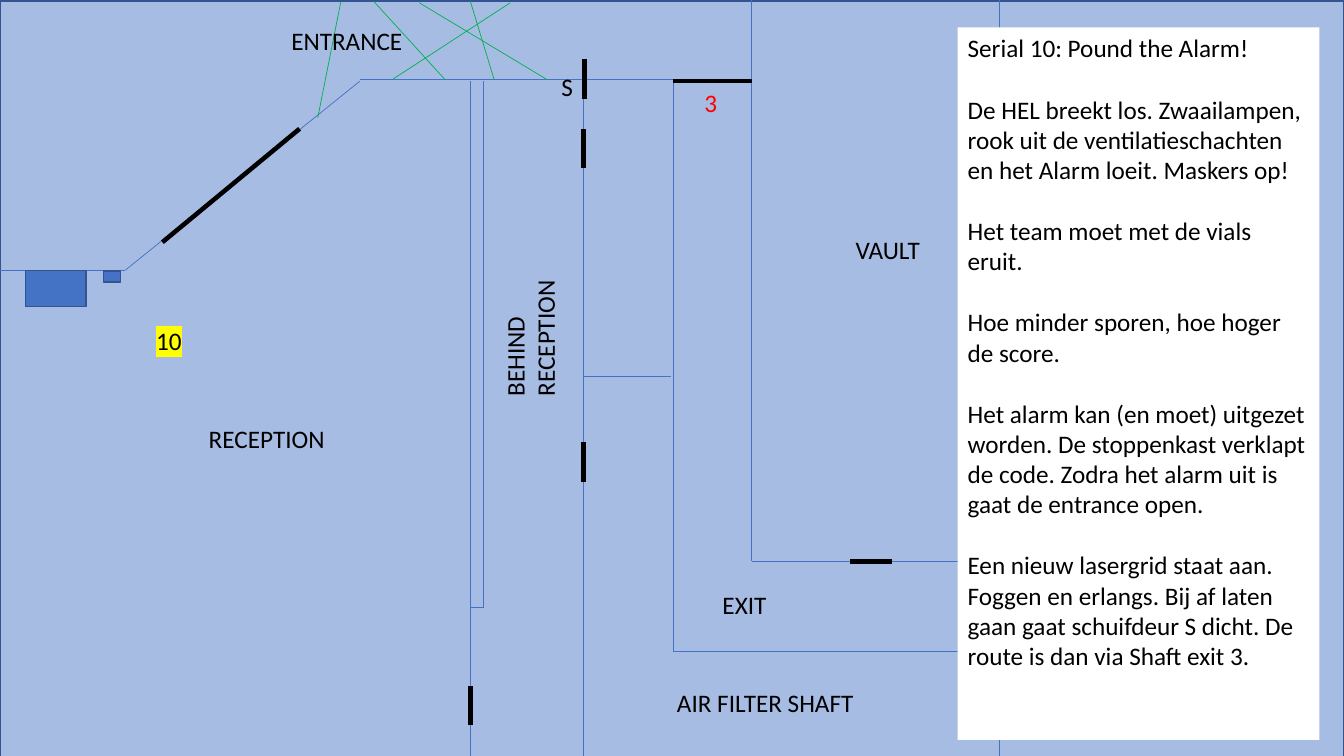
"""Build the floor plan slide for serial 10 of the escape game."""
from dataclasses import dataclass

from lxml.etree import SubElement
from pptx import Presentation
from pptx.dml.color import RGBColor
from pptx.enum.shapes import MSO_CONNECTOR, MSO_SHAPE
from pptx.enum.text import MSO_ANCHOR, MSO_AUTO_SIZE, PP_ALIGN
from pptx.oxml import parse_xml
from pptx.oxml.ns import nsdecls, qn
from pptx.util import Pt

BLACK = RGBColor(0x00, 0x00, 0x00)
WHITE = RGBColor(0xFF, 0xFF, 0xFF)
RED = RGBColor(0xFF, 0x00, 0x00)
GREEN = RGBColor(0x00, 0xB0, 0x50)
BLUE = RGBColor(0x44, 0x72, 0xC4)
NAVY = RGBColor(0x32, 0x54, 0x91)
YELLOW = RGBColor(0xFF, 0xFF, 0x00)

WIDE, HIGH = 960, 540
THIN, THICK = 0.5, 3.25
ROW = 22
NOTE = (684, 19.5, 258.5, 509)


@dataclass
class Box:
    left: float
    top: float
    width: float
    height: float
    alpha: int = 100


@dataclass
class Label:
    text: str
    left: float
    top: float
    width: float
    height: float = 29
    turn: int = 0
    color: RGBColor = BLACK
    mark: RGBColor | None = None


@dataclass
class Group:
    color: RGBColor
    weight: float
    lines: list[tuple[float, float, float, float]]


WALLS = Group(BLUE, THIN, [
    (714, 0, 714, HIGH), (537, 0, 537, 401), (537, 401, 714, 401),
    (481, 58, 481, 465), (481, 465, 714, 465), (504, 57, 257, 57),
    (257, 58, 89.5, 193), (89.5, 193, 0, 193), (336, 58, 336, HIGH),
    (417, 58, 417, HIGH), (417, 269, 479, 269),
    (345, 58, 345, 434), (345, 434, 336, 434),
])
DOORS = Group(BLACK, THICK, [
    (336, 490, 336, 518), (481, 58, 537, 58), (417, 92, 417, 120),
    (417, 316, 417, 344), (607.5, 401, 637, 401), (214, 92, 116, 173),
    (417.5, 42.5, 417.5, 70.5),
])
LASERS = Group(GREEN, THIN, [
    (267, 1, 318, 57), (243.5, 1, 227, 84), (336, 1, 353, 57),
    (391, 57, 299.5, 2), (364.5, 2, 280, 57),
])
FLOOR = Box(0, 0.75, WIDE, HIGH, 47)
DESKS = [Box(18, 193, 43.5, 26), Box(74, 193.5, 12, 8)]
LABELS = [
    Label("ENTRANCE", 201, 14.5, 125),
    Label("RECEPTION", 142, 299, 106.5),
    Label("BEHIND RECEPTION", 325.5, 211.5, 106.5, 51, 270),
    Label("AIR FILTER SHAFT", 476.5, 487.5, 160.5),
    Label("VAULT", 604, 164, 106.5),
    Label("EXIT", 509, 417.5, 106.5),
    Label("S", 394, 47.5, 28),
    Label("10", 104.5, 228.5, 55, mark=YELLOW),
    Label("3", 496, 59, 30, color=RED),
]
TITLE = "Serial 10: Pound the Alarm!"
STORY = [
    "De HEL breekt los. Zwaailampen, rook uit de ventilatieschachten "
    "en het Alarm loeit. Maskers op!",
    "Het team moet met de vials eruit.",
    "Hoe minder sporen, hoe hoger de score.",
    "Het alarm kan (en moet) uitgezet worden. De stoppenkast verklapt "
    "de code. Zodra het alarm uit is gaat de entrance open.",
    "Een nieuw lasergrid staat aan. Foggen en erlangs. Bij af laten gaan "
    "gaat schuifdeur S dicht. De route is dan via Shaft exit 3.",
]


def write(frame, *texts: str, color: RGBColor = BLACK, size: float = 18,
          gap: float = 0, top: float = 3.6, mark: RGBColor | None = None,
          fit: MSO_AUTO_SIZE = MSO_AUTO_SIZE.NONE) -> None:
    frame.word_wrap = True
    frame.auto_size = fit
    frame.vertical_anchor = MSO_ANCHOR.TOP
    frame.margin_left = frame.margin_right = Pt(7.2)
    frame.margin_top, frame.margin_bottom = Pt(top), Pt(3.6)
    for i, text in enumerate(texts):
        para = frame.paragraphs[0] if i == 0 else frame.add_paragraph()
        para.alignment = PP_ALIGN.LEFT
        para.space_before = Pt(gap if i else 0)
        para.space_after = Pt(0)
        run = para.add_run()
        run.text = text
        font = run.font
        font.name, font.size, font.color.rgb = "Calibri", Pt(size), color
        if mark is not None:
            fill = run.font._element.find(qn("a:solidFill"))
            fill.addnext(parse_xml(
                f'<a:highlight {nsdecls("a")}><a:srgbClr val="{mark}"/></a:highlight>'))


def place(shape, left: float, top: float, width: float, height: float) -> None:
    shape.left, shape.top = Pt(left), Pt(top)
    shape.width, shape.height = Pt(width), Pt(height)


def draw_box(slide, box: Box) -> None:
    shape = slide.shapes.add_shape(
        MSO_SHAPE.RECTANGLE, Pt(box.left), Pt(box.top), Pt(box.width), Pt(box.height))
    shape.shadow.inherit = False
    shape.fill.solid()
    shape.fill.fore_color.rgb = BLUE
    shape.line.color.rgb = NAVY
    shape.line.width = Pt(1)
    if box.alpha < 100:
        tint = shape.element.spPr.find(qn("a:solidFill")).find(qn("a:srgbClr"))
        SubElement(tint, qn("a:alpha")).set("val", str(box.alpha * 1000))


def draw_lines(slide, group: Group) -> None:
    for ends in group.lines:
        line = slide.shapes.add_connector(MSO_CONNECTOR.STRAIGHT, *map(Pt, ends))
        line.line.color.rgb = group.color
        line.line.width = Pt(group.weight)
        SubElement(line.element.spPr, qn("a:effectLst"))


def draw_label(slide, label: Label) -> None:
    shape = slide.shapes.add_textbox(
        Pt(label.left), Pt(label.top), Pt(label.width), Pt(label.height))
    shape.rotation = label.turn
    write(shape.text_frame, label.text, color=label.color, mark=label.mark,
          fit=MSO_AUTO_SIZE.SHAPE_TO_FIT_TEXT)


def draw_note(slide) -> None:
    title, body = slide.shapes.title, slide.placeholders[1]
    place(body, *NOTE)
    body.fill.solid()
    body.fill.fore_color.rgb = WHITE
    write(body.text_frame, *STORY, gap=ROW, top=3.6 + 2 * ROW)
    for para in body.text_frame.paragraphs:
        props = para._p.get_or_add_pPr()
        props.set("marL", "0")
        props.set("indent", "0")
        SubElement(props, qn("a:buNone"))
    place(title, *NOTE[:3], 29)
    write(title.text_frame, TITLE)
    for shape in (body, title):
        shape.element.getparent().append(shape.element)


def main() -> None:
    deck = Presentation()
    deck.slide_width, deck.slide_height = Pt(WIDE), Pt(HIGH)
    slide = deck.slides.add_slide(deck.slide_layouts[1])
    draw_box(slide, FLOOR)
    for group in (WALLS, DOORS, LASERS):
        draw_lines(slide, group)
    for desk in DESKS:
        draw_box(slide, desk)
    for label in LABELS:
        draw_label(slide, label)
    draw_note(slide)
    deck.save("out.pptx")


if __name__ == "__main__":
    main()
